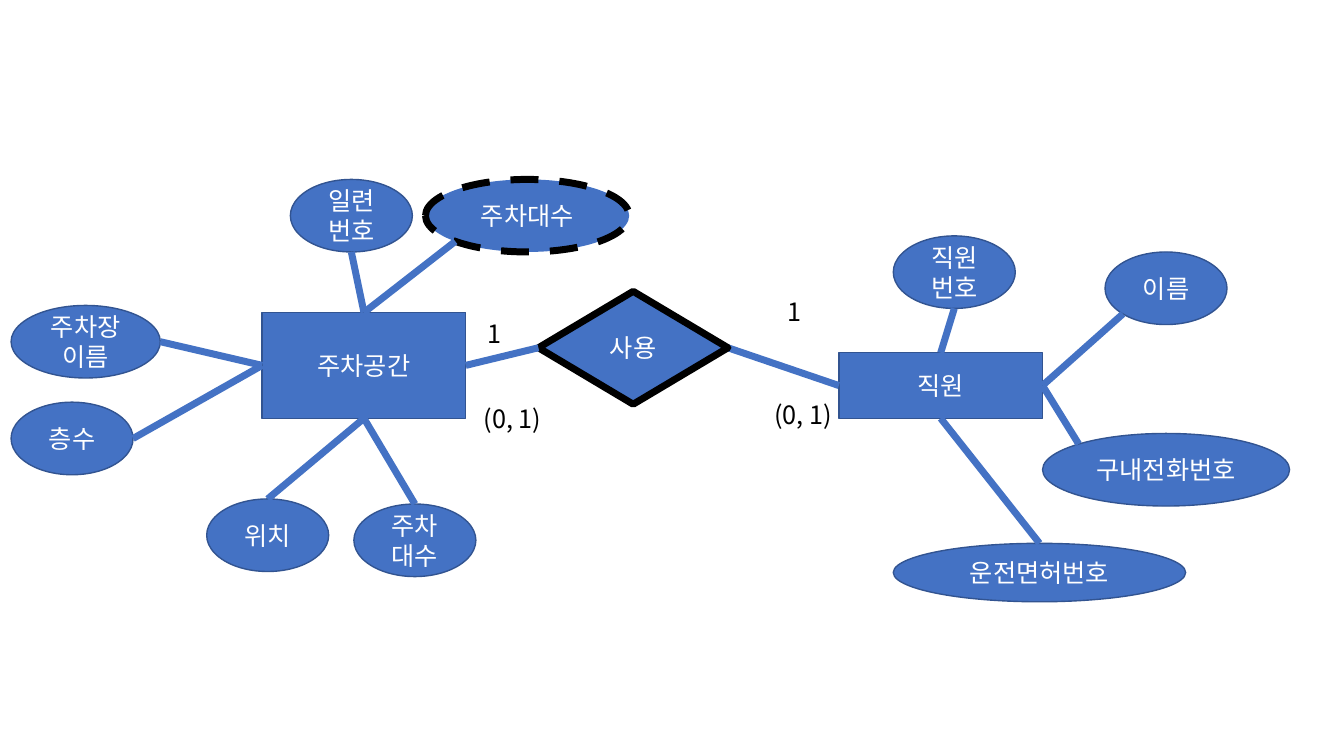
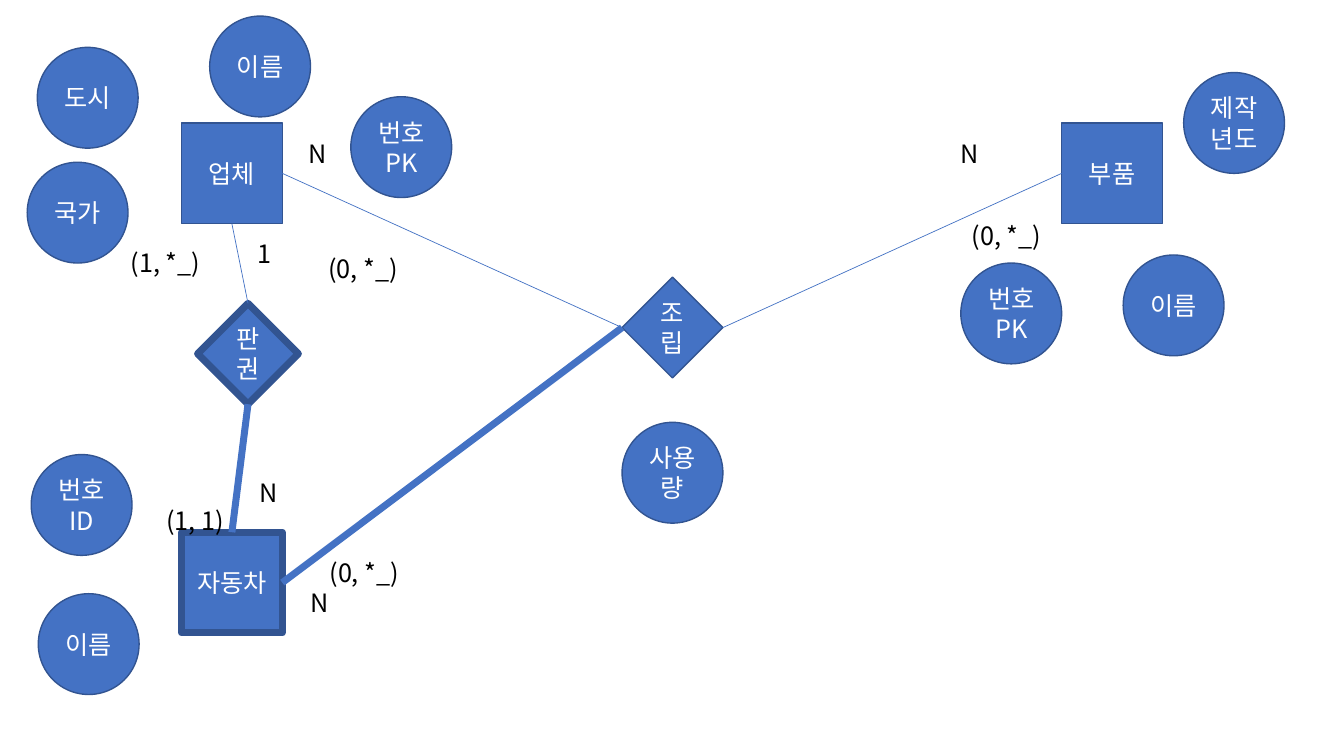
from math import sqrt

from lxml import etree
from pptx import Presentation
from pptx.dml.color import RGBColor
from pptx.enum.dml import MSO_LINE
from pptx.enum.shapes import MSO_CONNECTOR, MSO_SHAPE
from pptx.enum.text import MSO_ANCHOR, MSO_AUTO_SIZE, PP_ALIGN
from pptx.oxml.ns import qn
from pptx.util import Emu, Pt

RECTANGLE = MSO_SHAPE.RECTANGLE
DIAMOND = MSO_SHAPE.DIAMOND
OVAL = MSO_SHAPE.OVAL
STRAIGHT = MSO_CONNECTOR.STRAIGHT
DASH = MSO_LINE.DASH
CENTER = PP_ALIGN.CENTER
MIDDLE = MSO_ANCHOR.MIDDLE
FIT_SHAPE = MSO_AUTO_SIZE.SHAPE_TO_FIT_TEXT

EMU_PER_PX = 9144
FONT = "Noto Sans CJK KR"
FONT_SIZE = 18
BLUE = "4472C4"
NAVY = "325491"
BLACK = "000000"
WHITE = "FFFFFF"
HAIRLINE, THIN, THICK = 0.5, 1, 5
LABEL_HEIGHT = 40
UNIT = 100
OVAL_SIZE = (121, 72)

SIDES = {"top": 0, "left": 1, "bottom": 2, "right": 3}
DIAGONAL = 1 / sqrt(2)
DIRECTIONS = {
    "top": (0, -1),
    "left": (-1, 0),
    "bottom": (0, 1),
    "right": (1, 0),
    "top left": (-DIAGONAL, -DIAGONAL),
    "bottom left": (-DIAGONAL, DIAGONAL),
}


def px(value):
    return Emu(value * EMU_PER_PX)


def color(value):
    return RGBColor.from_string(value)


def write(frame, text, text_color, alignment=None):
    frame.word_wrap = True
    frame.text = text
    for para in frame.paragraphs:
        para.alignment = alignment
        for span in para.runs:
            span.font.size = Pt(FONT_SIZE)
            span.font.name = FONT
            span.font.color.rgb = color(text_color)
            east_asian = etree.SubElement(span.font._element, qn("a:ea"))
            east_asian.set("typeface", FONT)


def add_node(page, kind, text, left, top, width=UNIT, height=UNIT,
             outline=NAVY, weight=THIN, dash=None):
    node = page.shapes.add_shape(kind, px(left), px(top), px(width), px(height))
    node.shadow.inherit = False
    node.fill.solid()
    node.fill.fore_color.rgb = color(BLUE)
    node.line.color.rgb = color(outline)
    node.line.width = Pt(weight)
    if dash:
        node.line.dash_style = dash
    node.text_frame.vertical_anchor = MIDDLE
    write(node.text_frame, text, WHITE, CENTER)
    return node


def add_label(page, text, left, top, width=UNIT):
    box = page.shapes.add_textbox(px(left), px(top), px(width), px(LABEL_HEIGHT))
    write(box.text_frame, text, BLACK)
    box.text_frame.auto_size = FIT_SHAPE


def edge_point(node, side):
    across, down = DIRECTIONS[side]
    x = node.left + node.width * (1 + across) / 2
    y = node.top + node.height * (1 + down) / 2
    return Emu(round(x)), Emu(round(y))


def add_link(page, start, start_side, end, end_side, weight=THICK):
    link = page.shapes.add_connector(
        STRAIGHT, *edge_point(start, start_side), *edge_point(end, end_side))
    link.line.color.rgb = color(BLUE)
    link.line.width = Pt(weight)
    etree.SubElement(link.element.spPr, qn("a:effectLst"))
    if start.auto_shape_type != OVAL:
        link.begin_connect(start, SIDES[start_side])
    if end.auto_shape_type != OVAL:
        link.end_connect(end, SIDES[end_side])
    return link


def add_attributes(page, entity, attributes):
    for text, left, top, size, side, entity_side in attributes:
        oval = add_node(page, OVAL, text, left, top, *size)
        add_link(page, oval, side, entity, entity_side)


def build_parking(page):
    parking = add_node(page, RECTANGLE, "주차공간", 260, 310, 202, 105)
    employee = add_node(page, RECTANGLE, "직원", 832, 350, 202, 65)
    use = add_node(page, DIAMOND, "사용", 534, 289, 188, 112, BLACK, THICK)
    employee_link = add_link(page, employee, "left", use, "right")
    use.element.addprevious(employee_link.element)
    add_link(page, use, "left", parking, "right")

    add_attributes(page, parking, [
        ("위치", 205, 495, OVAL_SIZE, "top", "bottom"),
        ("주차대수", 351, 500, OVAL_SIZE, "top", "bottom"),
        ("일련번호", 288, 178, OVAL_SIZE, "bottom", "top"),
        ("층수", 11, 399, OVAL_SIZE, "right", "left"),
        ("주차장이름", 11, 303, (148, 72), "right", "left"),
    ])
    derived = add_node(page, OVAL, "주차대수", 422, 178, 202, 72, BLACK, THICK, DASH)
    add_link(page, parking, "top", derived, "bottom left")

    add_attributes(page, employee, [
        ("운전면허번호", 886, 539, (290, 58), "top", "bottom"),
        ("이름", 1096, 250, OVAL_SIZE, "bottom left", "right"),
        ("직원번호", 886, 234, OVAL_SIZE, "bottom", "top"),
        ("구내전화번호", 1034, 430, (245, 72), "top left", "right"),
    ])

    for text, left, top, width in [
        ("1", 474, 311, 34),
        ("1", 771, 289, 34),
        ("(0, 1)", 758, 391, 78),
        ("(0, 1)", 470, 395, 78),
    ]:
        add_label(page, text, left, top, width)


def build_assembly(page):
    part = add_node(page, RECTANGLE, "부품", 1053, 122)
    company = add_node(page, RECTANGLE, "업체", 180, 122)
    car = add_node(page, RECTANGLE, "자동차", 180, 528, weight=THICK)
    assembly = add_node(page, DIAMOND, "조립", 617, 275)
    rights = add_node(page, DIAMOND, "판권", 196, 301, weight=THICK)

    add_link(page, company, "right", assembly, "left", HAIRLINE)
    add_link(page, part, "left", assembly, "right", HAIRLINE)
    add_link(page, car, "right", assembly, "left")
    add_link(page, company, "bottom", rights, "top", HAIRLINE)
    add_link(page, rights, "bottom", car, "top")

    for text, left, top in [
        ("사용량", 617, 419),
        ("번호\nPK", 953, 261),
        ("이름", 1114, 253),
        ("제작년도", 1174, 72),
        ("번호\nPK", 348, 96),
        ("국가", 27, 161),
        ("도시", 37, 47),
        ("이름", 208, 16),
        ("번호\nID", 31, 451),
        ("이름", 38, 589),
    ]:
        add_node(page, OVAL, text, left, top)

    for text, left, top in [
        ("N", 943, 132),
        ("N", 296, 132),
        ("N", 298, 578),
        ("1", 246, 232),
        ("N", 248, 469),
        ("(1, *_)", 120, 240),
        ("(0, *_)", 954, 214),
        ("(1, 1)", 155, 496),
        ("(0, *_)", 316, 246),
        ("(0, *_)", 317, 548),
    ]:
        add_label(page, text, left, top)


def main():
    deck = Presentation()
    deck.slide_width = px(1333)
    deck.slide_height = px(750)
    blank = deck.slide_layouts[6]
    for build in (build_parking, build_assembly):
        build(deck.slides.add_slide(blank))
    deck.save("out.pptx")


if __name__ == "__main__":
    main()
